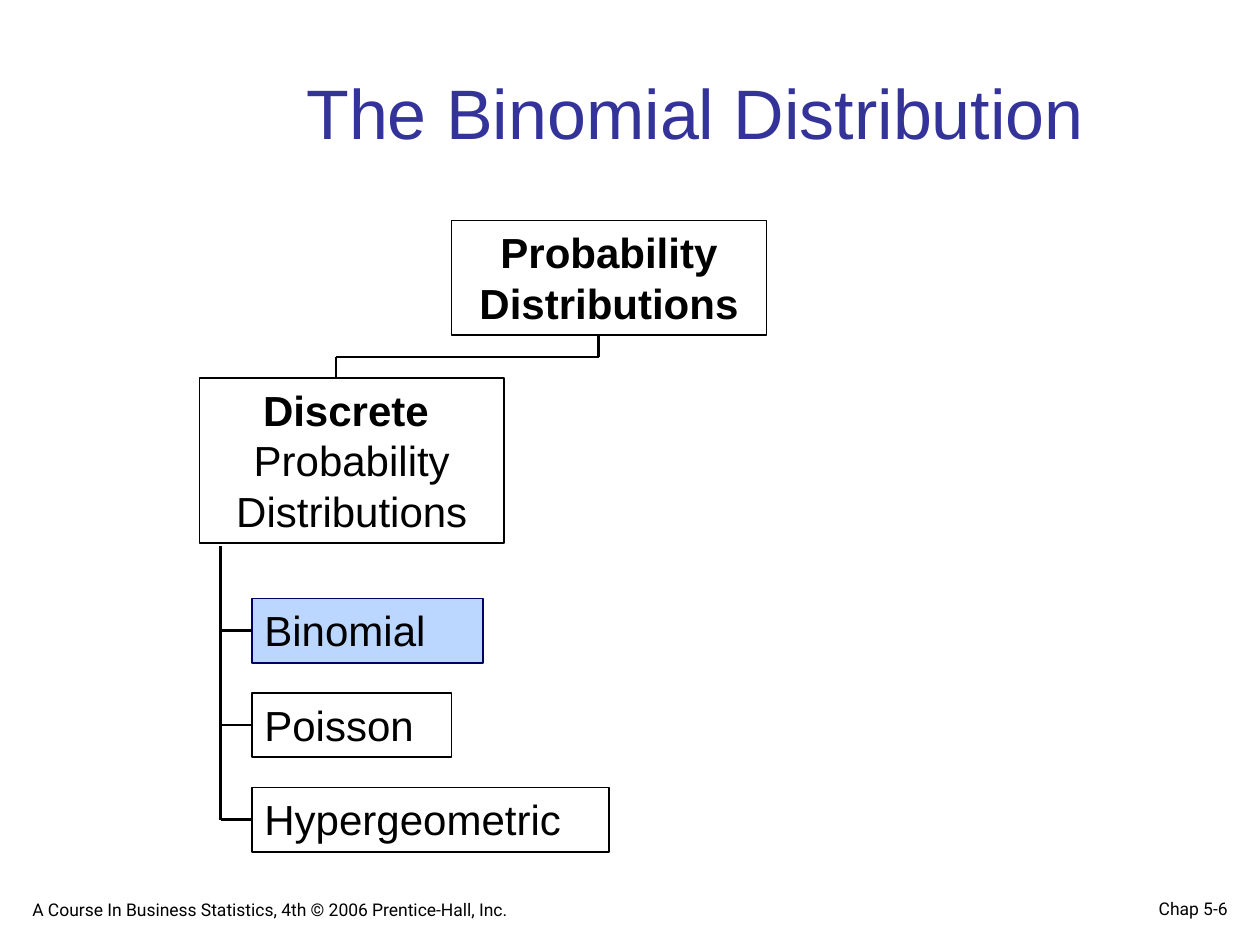
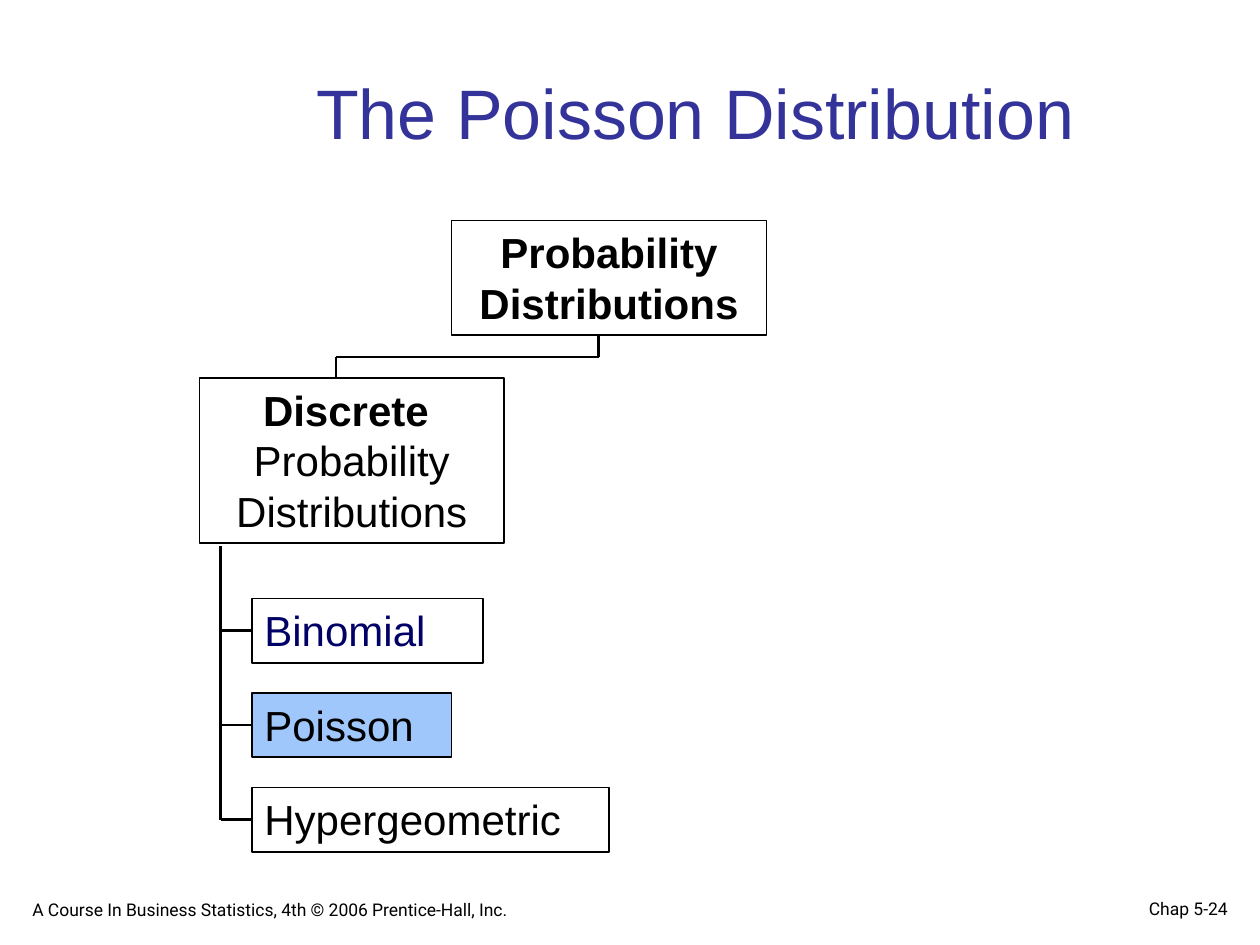
from pptx import Presentation
from pptx.dml.color import RGBColor
from pptx.enum.shapes import MSO_CONNECTOR as LINE, MSO_SHAPE as SHAPE
from pptx.enum.text import MSO_ANCHOR as ANCHOR, PP_ALIGN as ALIGN
from pptx.oxml import parse_xml
from pptx.oxml.ns import nsdecls
from pptx.util import Pt

BLACK, NAVY, INDIGO = "000000", "000066", "333399"
COPYRIGHT = "A Course In Business Statistics, 4th © 2006 Prentice-Hall, Inc."
FAMILY = [("Binomial", 132), ("Poisson", 114), ("Hypergeometric", 204)]
FAMILY_LEFT, FAMILY_TOP, FAMILY_STEP, FAMILY_HEIGHT = 144, 342, 54, 36.7
TRUNK_X, STEM_X, ROOT_X, BAR_Y = 126, 192, 342, 204
TOPICS = [
    ("The Binomial Distribution", "Chap 5-6",
     {"Binomial": {"fill": "BBD7FF", "outline": NAVY}}),
    ("The Poisson Distribution", "Chap 5-24",
     {"Binomial": {"color": NAVY}, "Poisson": {"fill": "A0C7FC"}}),
]


def rgb(hex_code):
    return RGBColor.from_string(hex_code)


def write(holder, text, size, color=BLACK, font="Arial", align=ALIGN.LEFT,
          anchor=ANCHOR.TOP, side=7.2, bold_lines=0):
    frame = holder.text_frame
    frame.text = text
    frame.word_wrap = True
    frame.vertical_anchor = anchor
    frame.margin_left = frame.margin_right = Pt(side)
    frame.margin_top = frame.margin_bottom = Pt(3.6)
    for index, paragraph in enumerate(frame.paragraphs):
        paragraph.alignment = align
        for run in paragraph.runs:
            run.font.name = font
            run.font.size = Pt(size)
            run.font.bold = index < bold_lines
            run.font.color.rgb = rgb(color)


def add_label(slide, bounds, text, size, **style):
    write(slide.shapes.add_textbox(*map(Pt, bounds)), text, size, **style)


def add_node(slide, bounds, text, fill=None, outline=BLACK, **style):
    node = slide.shapes.add_shape(SHAPE.RECTANGLE, *map(Pt, bounds))
    node.shadow.inherit = False
    if fill:
        node.fill.solid()
        node.fill.fore_color.rgb = rgb(fill)
    else:
        node.fill.background()
    node.line.color.rgb = rgb(outline)
    node.line.width = Pt(1)
    write(node, text, 24, **style)
    return node


def add_line(slide, start, end):
    line = slide.shapes.add_connector(LINE.STRAIGHT, *map(Pt, start + end))
    line.line.color.rgb = rgb(BLACK)
    line.line.width = Pt(1.5)
    line._element.spPr.append(parse_xml(f"<a:effectLst {nsdecls('a')}/>"))
    return line


def add_frame(slide, title, chapter):
    add_label(slide, (558, 504, 150, 24.5), chapter, 10, font="Roboto",
              align=ALIGN.RIGHT, anchor=ANCHOR.BOTTOM, side=6.5)
    add_label(slide, (12, 504, 366, 25.2), COPYRIGHT, 10, font="Roboto",
              anchor=ANCHOR.BOTTOM, side=6.5)
    add_label(slide, (120, 36, 554.4, 54.7), title, 40, color=INDIGO,
              align=ALIGN.CENTER)


def add_tree(slide, styles):
    add_line(slide, (ROOT_X, 192), (ROOT_X, BAR_Y))
    add_line(slide, (STEM_X, BAR_Y), (ROOT_X, BAR_Y))
    add_line(slide, (STEM_X, BAR_Y), (STEM_X, 216))
    add_node(slide, (258, 126, 180, 65.5), "Probability Distributions",
             align=ALIGN.CENTER, bold_lines=1)
    add_node(slide, (114, 216, 174, 94.3),
             "Discrete \nProbability Distributions",
             align=ALIGN.CENTER, bold_lines=1)
    for row, (name, width) in enumerate(FAMILY):
        top = FAMILY_TOP + row * FAMILY_STEP
        middle = top + FAMILY_HEIGHT / 2
        member = add_node(slide, (FAMILY_LEFT, top, width, FAMILY_HEIGHT),
                          name, **styles.get(name, {}))
        branch = add_line(slide, (FAMILY_LEFT, middle), (TRUNK_X, middle))
        branch.begin_connect(member, 1)
    add_line(slide, (TRUNK_X, 312), (TRUNK_X, middle))


def main():
    deck = Presentation()
    deck.slide_width, deck.slide_height = Pt(720), Pt(540)
    for title, chapter, styles in TOPICS:
        slide = deck.slides.add_slide(deck.slide_layouts[6])
        add_frame(slide, title, chapter)
        add_tree(slide, styles)
    deck.save("out.pptx")


if __name__ == "__main__":
    main()
